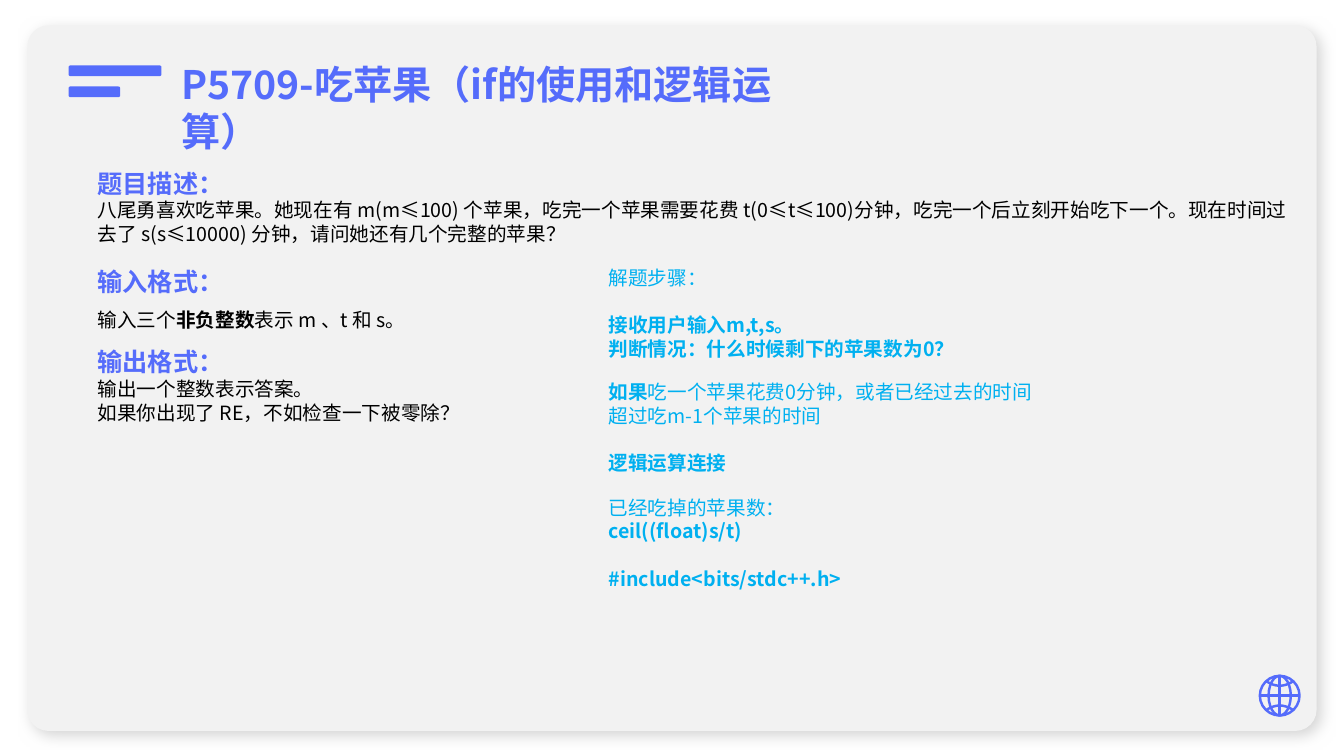
"""Build the slide on the apple-eating exercise with its solution steps."""
from dataclasses import dataclass
from typing import NamedTuple

from lxml.etree import SubElement as Sub
from pptx import Presentation
from pptx.dml.color import RGBColor as Rgb
from pptx.enum.shapes import MSO_CONNECTOR as Link, MSO_SHAPE as Kind
from pptx.oxml.ns import qn
from pptx.util import Cm, Pt

FONT = "Noto Sans CJK SC"
HUES = {"panel": "F2F2F2", "brand": "556CFB", "ink": "000000",
        "step": "00B0F0", "shade": "D4D4D4"}
GAP = 16.8


class Box(NamedTuple):
    left: float
    top: float
    wide: float
    high: float


@dataclass
class Para:
    text: str
    hue: str = "ink"
    size: int = 14
    bold: bool = False
    lead: float = 1.0
    before: float = 0
    after: float = 0


@dataclass
class Block:
    box: Box
    paras: list[Para]


@dataclass
class Form:
    kind: Kind
    box: Box
    hue: str
    round: float = 0.17


def head(text: str) -> Para:
    return Para(text, "brand", 18, True, 1.5)


def step(text: str, bold: bool = False, before: float = 0) -> Para:
    return Para(text, "step", bold=bold, before=before)


def tint(name: str) -> Rgb:
    return Rgb.from_string(HUES[name])


def place(box: Box) -> list[Cm]:
    return [Cm(side) for side in box]


def draw_form(slide, form: Form):
    shape = slide.shapes.add_shape(form.kind, *place(form.box))
    shape.shadow.inherit = False
    shape.adjustments[0] = form.round
    shape.fill.solid()
    shape.fill.fore_color.rgb = tint(form.hue)
    shape.line.fill.background()
    return shape


def add_shade(shape) -> None:
    effects = shape._element.spPr.find(qn("a:effectLst"))
    shade = Sub(effects, qn("a:outerShdw"), blurRad=str(Pt(10)),
                dist=str(Pt(5)), dir="2700000", algn="tl", rotWithShape="0")
    Sub(shade, qn("a:srgbClr"), val=HUES["shade"])


def write(line, para: Para) -> None:
    line.line_spacing = para.lead
    line.space_before = Pt(para.before)
    line.space_after = Pt(para.after)
    font = line.font
    font.size = Pt(para.size)
    font.color.rgb = tint(para.hue)
    font.name = FONT
    base = line._p.pPr.find(qn("a:defRPr"))
    Sub(base, qn("a:ea"), typeface=FONT)
    parts = para.text.split("*")
    if len(parts) == 1:
        font.bold = para.bold
    for spot, part in enumerate(parts):
        if part:
            run = line.add_run()
            run.text = part
            if len(parts) > 1:
                run.font.bold = spot % 2 == 1


def draw_block(slide, block: Block) -> None:
    frame = slide.shapes.add_textbox(*place(block.box)).text_frame
    frame.word_wrap = True
    for spot, para in enumerate(block.paras):
        write(frame.add_paragraph() if spot else frame.paragraphs[0], para)


def stroke(shape) -> None:
    shape.line.color.rgb = tint("brand")
    shape.line.width = Pt(1.75)


def draw_globe(slide, mid: float, axis: float, size: float) -> None:
    shapes = slide.shapes
    for half in (size, 0.56 * size):
        ring = shapes.add_shape(Kind.OVAL, *place(
            Box(mid - half, axis - size, 2 * half, 2 * size)))
        ring.shadow.inherit = False
        ring.fill.background()
        stroke(ring)
    for dx, dy in ((size, 0), (0, size)):
        line = shapes.add_connector(Link.STRAIGHT, Cm(mid - dx), Cm(axis - dy),
                                    Cm(mid + dx), Cm(axis + dy))
        Sub(line._element.spPr, qn("a:effectLst"))
        stroke(line)
    for sign in (-1, 1):
        dots = [(Cm(mid + size * k / 12),
                 Cm(axis + sign * size * (0.5 + 0.22 * (k / 8) ** 2)))
                for k in range(-8, 9)]
        pen = shapes.build_freeform(*dots[0])
        pen.add_line_segments(dots[1:], close=False)
        arc = pen.convert_to_shape()
        arc.shadow.inherit = False
        arc.fill.background()
        stroke(arc)


PANEL = Form(Kind.ROUNDED_RECTANGLE, Box(0.69, 0.64, 32.49, 17.78), "panel", 0.03)
BARS = [Form(Kind.ROUNDED_RECTANGLE, Box(1.73, top, wide, 0.27), "brand")
        for top, wide in ((1.65, 2.34), (2.18, 1.3))]
TITLE = Block(Box(4.32, 1.4, 17.22, 1.45), [
    Para("P5709-吃苹果（if的使用和逻辑运算）", "brand", 28, True)])
TASK = Block(Box(2.21, 3.73, 30.56, 7.16), [
    head("题目描述："),
    Para("八尾勇喜欢吃苹果。她现在有 m(m≤100) 个苹果，吃完一个苹果需要花费 "
         "t(0≤t≤100)分钟，吃完一个后立刻开始吃下一个。现在时间过去了 "
         "s(s≤10000) 分钟，请问她还有几个完整的苹果？", after=4),
    head("输入格式："),
    Para("输入三个*非负整数*表示 m 、t 和 s。", lead=1.5),
    head("输出格式："),
    Para("输出一个整数表示答案。"),
    Para("如果你出现了 RE，不如检查一下被零除？")])
STEPS = [Block(Box(15.09, top, 11.66, 2.64), paras) for top, paras in (
    (6.58, [step("解题步骤："),
            step("接收用户输入m,t,s。", True, GAP),
            step("判断情况：什么时候剩下的苹果数为0？", True)]),
    (9.45, [step("*如果*吃一个苹果花费0分钟，或者已经过去的时间超过吃m-1个苹果的时间"),
            step("逻辑运算连接", True, GAP)]),
    (12.37, [step("已经吃掉的苹果数："),
             step("ceil((float)s/t)", True),
             step("#include<bits/stdc++.h>", True, GAP)]))]


def main() -> None:
    deck = Presentation()
    deck.slide_width, deck.slide_height = Cm(33.87), Cm(19.05)
    slide = deck.slides.add_slide(deck.slide_layouts[6])
    add_shade(draw_form(slide, PANEL))
    for bar in BARS:
        draw_form(slide, bar)
    for block in (TITLE, TASK):
        draw_block(slide, block)
    draw_globe(slide, 32.25, 17.53, 0.5)
    for block in STEPS:
        draw_block(slide, block)
    deck.save("out.pptx")


if __name__ == "__main__":
    main()
